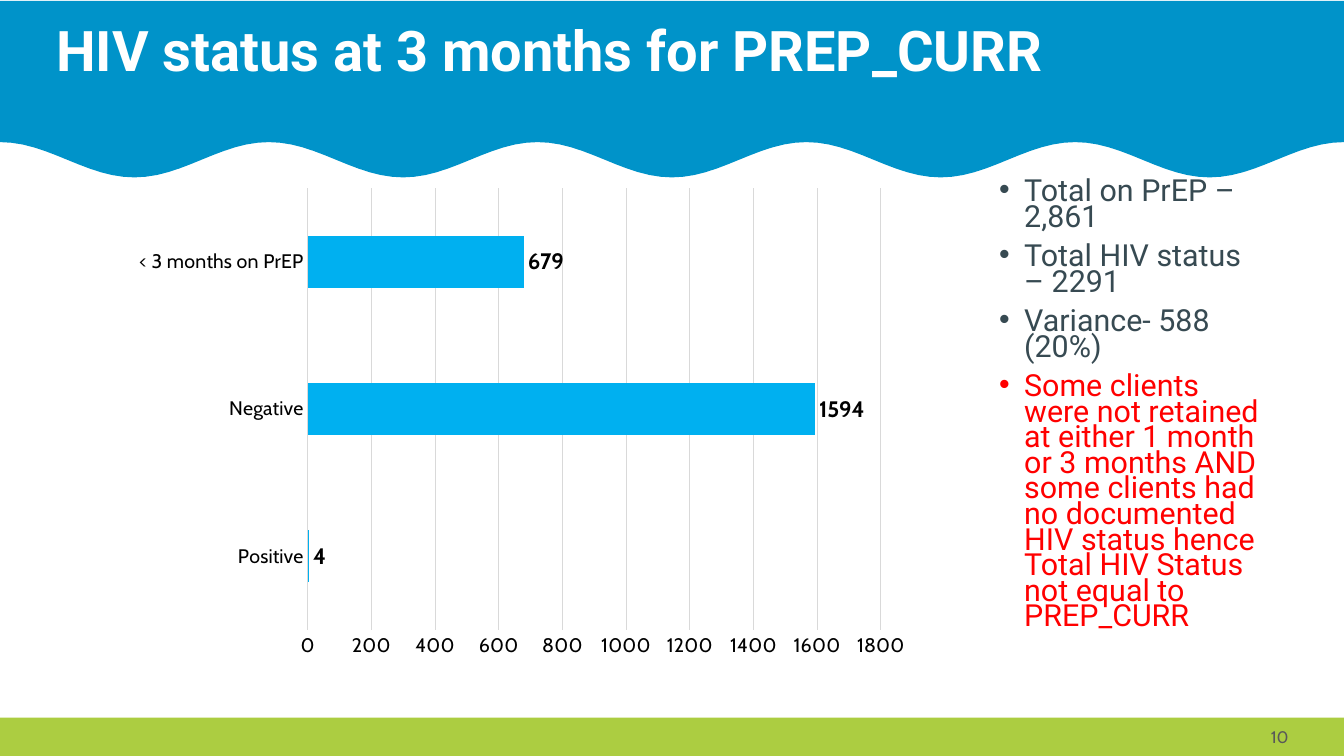
"""Build the slide on HIV status at three months for PREP_CURR."""
from math import cos, pi

from lxml import etree
from pptx import Presentation
from pptx import util as u
from pptx.chart.data import CategoryChartData
from pptx.dml.color import RGBColor
from pptx.enum import chart as charts, shapes, text
from pptx.oxml import parse_xml
from pptx.oxml.ns import nsdecls, qn

TITLE = "HIV status at 3 months for PREP_CURR"
PAGE_NUMBER = "10"
STATUS = {"Positive": 4, "Negative": 1594, "< 3 months on PrEP": 679}
NOTES = [
    ("Total on PrEP – 2,861", "slate"),
    ("Total HIV status – 2291", "slate"),
    ("Variance- 588 (20%)", "slate"),
    ("Some clients were not retained at either 1 month or 3 months AND some "
     "clients had no documented HIV status hence Total HIV Status not equal "
     "to PREP_CURR", "red"),
]
COLOURS = {"sea": "0093C9", "green": "ACCD41", "bar": "00B0F0", "grid": "D9D9D9",
           "slate": "374A52", "red": "FF0000", "white": "FFFFFF",
           "black": "000000", "grey": "595959"}
WIDTH, HEIGHT = 13.33, 7.5
FOOTER = 0.38
CONTENT_TOP, CONTENT_HEIGHT = 1.75, 4.95
WAVES, STEPS, CREST, TROUGH = 5, 24, 1.41, 1.76
PLOT = {"x": 0.28, "y": 0.024, "w": 0.668, "h": 0.885}


def colour(name):
    return RGBColor.from_string(COLOURS[name])


def paint(shape, name):
    shape.shadow.inherit = False
    shape.fill.solid()
    shape.fill.fore_color.rgb = colour(name)
    shape.line.fill.background()


def style(font, size, name="black", face="Cabin", bold=False):
    font.size, font.name, font.bold = u.Pt(size), face, bold
    font.color.rgb = colour(name)


def add_text(page, place, lines, size, face, bold=False, spacing=1.0, before=0,
             bullet=False, align=text.PP_ALIGN.LEFT, anchor=text.MSO_ANCHOR.TOP):
    frame = page.shapes.add_textbox(*map(u.Inches, place)).text_frame
    frame.word_wrap, frame.vertical_anchor = True, anchor
    for index, (words, name) in enumerate(lines):
        para = frame.paragraphs[0] if index == 0 else frame.add_paragraph()
        para.alignment, para.line_spacing = align, spacing
        para.space_before = u.Pt(before)
        span = para.add_run()
        span.text = words
        style(span.font, size, name, face, bold)
        if bullet:
            props = para._p.get_or_add_pPr()
            props.set("marL", str(u.Inches(0.25)))
            props.set("indent", str(-u.Inches(0.25)))
            etree.SubElement(props, qn("a:buFont")).set("typeface", "Arial")
            etree.SubElement(props, qn("a:buChar")).set("char", "•")


def add_banner(page):
    count = WAVES * STEPS
    half = (TROUGH - CREST) / 2
    edge = [(WIDTH * i / count, CREST + half * (1 - cos(2 * pi * i / STEPS)))
            for i in range(count, -1, -1)]
    builder = page.shapes.build_freeform(u.Inches(0), u.Inches(0.01), scale=1.0)
    corners = [(WIDTH, 0.01)] + edge
    builder.add_line_segments([(u.Inches(x), u.Inches(y)) for x, y in corners])
    paint(builder.convert_to_shape(), "sea")


def add_status_chart(page):
    data = CategoryChartData()
    data.categories = list(STATUS)
    data.add_series("Series 1", list(STATUS.values()))
    place = map(u.Inches, (0.67, CONTENT_TOP, 8.51, CONTENT_HEIGHT))
    chart = page.shapes.add_chart(charts.XL_CHART_TYPE.BAR_CLUSTERED, *place, data).chart
    chart.has_legend = chart.has_title = False
    style(chart.font, 14)

    for axis in (chart.category_axis, chart.value_axis):
        axis.major_tick_mark = axis.minor_tick_mark = charts.XL_TICK_MARK.NONE
        style(axis.tick_labels.font, 14)
    values = chart.value_axis
    values.minimum_scale, values.maximum_scale, values.major_unit = 0, 1800, 200
    values.has_major_gridlines = True
    values.format.line.fill.background()
    for line in (chart.category_axis.format.line, values.major_gridlines.format.line):
        line.color.rgb, line.width = colour("grid"), u.Pt(0.75)

    bars = chart.plots[0]
    bars.gap_width, bars.vary_by_categories = 182, False
    series = bars.series[0]
    series.format.fill.solid()
    series.format.fill.fore_color.rgb = colour("bar")
    labels = series.data_labels
    labels.show_value = True
    labels.position = charts.XL_LABEL_POSITION.OUTSIDE_END
    style(labels.font, 16, bold=True)

    area = chart._chartSpace.chart.plotArea
    for old in area.findall(qn("c:layout")):
        area.remove(old)
    sizes = "".join(f'<c:{key} val="{share}"/>' for key, share in PLOT.items())
    area.insert(0, parse_xml(
        f'<c:layout {nsdecls("c")}><c:manualLayout><c:layoutTarget val="inner"/>'
        f'<c:xMode val="edge"/><c:yMode val="edge"/>{sizes}'
        '</c:manualLayout></c:layout>'))


def main():
    deck = Presentation()
    deck.slide_width, deck.slide_height = u.Inches(WIDTH), u.Inches(HEIGHT)
    page = deck.slides.add_slide(deck.slide_layouts[6])
    footer_top = HEIGHT - FOOTER
    strip = page.shapes.add_shape(
        shapes.MSO_SHAPE.RECTANGLE,
        *map(u.Inches, (0, footer_top, WIDTH, FOOTER)))
    paint(strip, "green")
    add_banner(page)
    add_text(page, (0.46, 0.18, 12.42, 1.2), [(TITLE, "white")], 40, "Roboto",
             bold=True, spacing=0.9)
    add_text(page, (9.81, CONTENT_TOP, 2.85, CONTENT_HEIGHT), NOTES, 21.7, "Roboto",
             spacing=0.7, before=10, bullet=True)
    add_text(page, (9.17, footer_top, 3.71, FOOTER), [(PAGE_NUMBER, "grey")], 12, "Cabin",
             align=text.PP_ALIGN.RIGHT, anchor=text.MSO_ANCHOR.MIDDLE)
    add_status_chart(page)
    deck.save("out.pptx")


if __name__ == "__main__":
    main()
